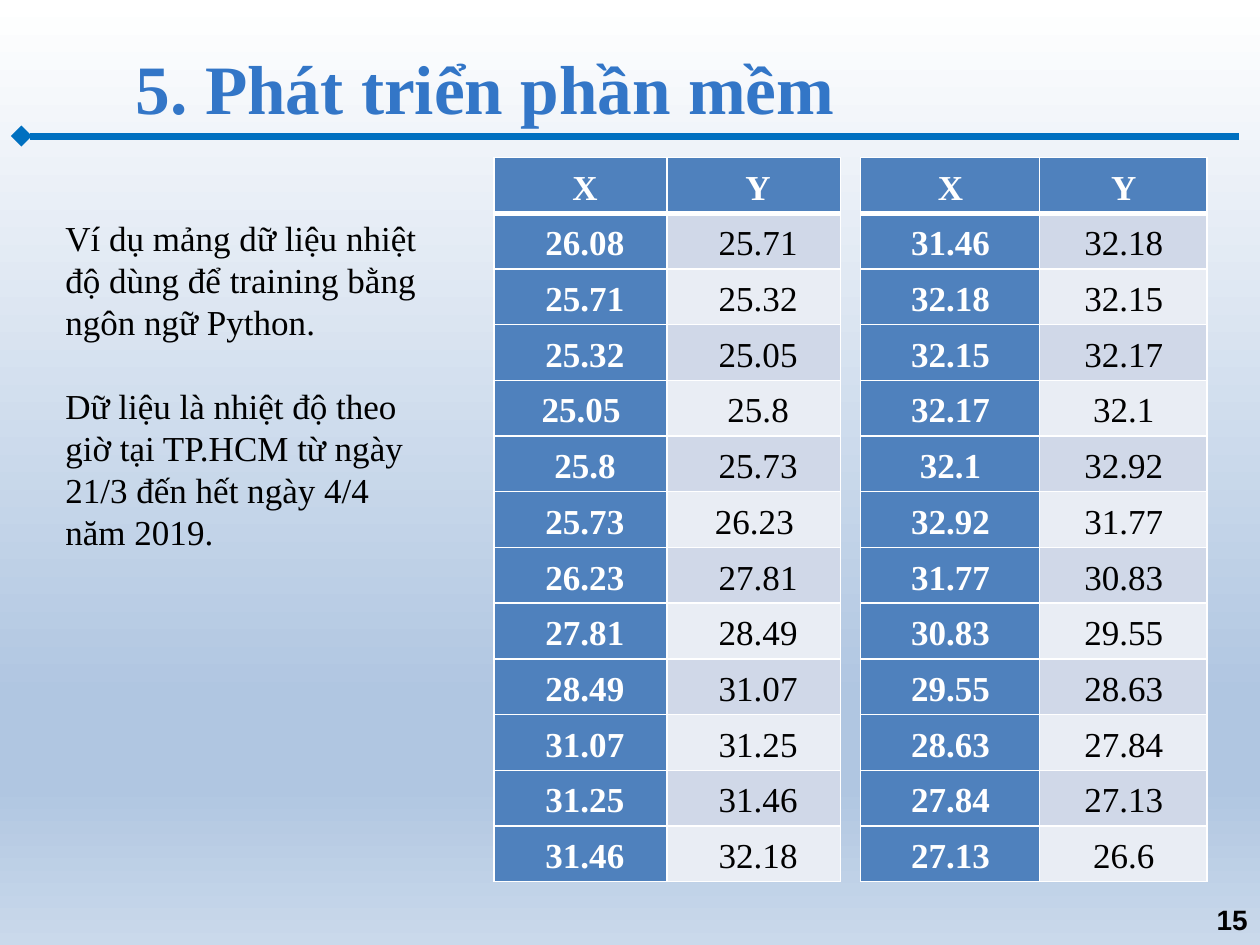
from pptx import Presentation
from pptx.dml.color import RGBColor
from pptx.enum.shapes import MSO_CONNECTOR
from pptx.enum.text import MSO_ANCHOR, PP_ALIGN
from pptx.oxml import parse_xml
from pptx.oxml.ns import nsdecls
from pptx.util import Inches, Pt

STRAIGHT = MSO_CONNECTOR.STRAIGHT
TOP, MIDDLE = MSO_ANCHOR.TOP, MSO_ANCHOR.MIDDLE
LEFT, CENTER, RIGHT = PP_ALIGN.LEFT, PP_ALIGN.CENTER, PP_ALIGN.RIGHT

THEME = {
    "serif": "Times New Roman", "sans": "Arial",
    "title": "3376C7", "rule": "0070C0", "text": "000000", "white": "FFFFFF",
    "key": "4F81BD", "bands": ("D0D8E8", "E9EDF4"),
    "sky": ((0, "FFFFFF"), (74, "B0C6E1"), (83, "B0C6E1"), (100, "CAD9EB")),
    "title_size": 39.6, "body_size": 20, "number_size": 16, "leading": 24,
}

deck = Presentation()
deck.slide_width, deck.slide_height = Inches(10), Inches(7.5)
column, row = deck.slide_width / 100, deck.slide_height / 75
page = deck.slides.add_slide(deck.slide_layouts[6])


def style(para, size, color, bold, align, face="serif"):
    para.alignment = align
    for span in para.runs:
        span.font.name = THEME[face]
        span.font.size = Pt(size)
        span.font.bold = bold
        span.font.color.rgb = RGBColor.from_string(color)


def add_text(left, top, width, height, lines, size, color, bold, align, anchor, face="serif"):
    box = page.shapes.add_textbox(
        int(left * column), int(top * row), int(width * column), int(height * row))
    frame = box.text_frame
    frame.word_wrap = True
    frame.vertical_anchor = anchor
    frame.text = "\n".join(lines)
    for para in frame.paragraphs:
        style(para, size, color, bold, align, face)
    return frame


stops = "".join(
    f'<a:gs pos="{share * 1000}"><a:srgbClr val="{color}"/></a:gs>'
    for share, color in THEME["sky"])
page.element.cSld.insert(0, parse_xml(
    f'<p:bg {nsdecls("p", "a")}><p:bgPr><a:gradFill rotWithShape="1">'
    f'<a:gsLst>{stops}</a:gsLst><a:lin ang="5400000" scaled="0"/></a:gradFill>'
    '<a:effectLst/></p:bgPr></p:bg>'))

rule = page.shapes.add_connector(
    STRAIGHT, int(1.7 * column), int(10.8 * row), int(98.3 * column), int(10.8 * row))
rule.line.color.rgb = RGBColor.from_string(THEME["rule"])
rule.line.width = Pt(4)
rule.line._get_or_add_ln().append(parse_xml(f'<a:headEnd {nsdecls("a")} type="diamond"/>'))
rule.element.spPr.append(parse_xml(f'<a:effectLst {nsdecls("a")}/>'))

add_text(9.8, 3.2, 90.2, 7.4, ["5. Phát triển phần mềm"],
         THEME["title_size"], THEME["title"], True, LEFT, MIDDLE)

temperatures = (
    "26.08 25.71 25.32 25.05 25.8 25.73 26.23 27.81 28.49 31.07 31.25 31.46 "
    "32.18 32.15 32.17 32.1 32.92 31.77 30.83 29.55 28.63 27.84 27.13 26.6").split()
halves = (
    (39.2, (13.75, 13.75), 0.06, {(4, 0), (6, 1)}, temperatures[:13]),
    (68.3, (14.2, 13.3), 0, set(), temperatures[11:]),
)

for left, widths, inset, flush_cells, series in halves:
    pairs = [("X", "Y"), *zip(series, series[1:])]
    table = page.shapes.add_table(
        len(pairs), 2, int(left * column), int(12.5 * row),
        int(sum(widths) * column), int(57.5 * row)).table
    table.first_row = table.horz_banding = False
    for index, width in enumerate(widths):
        table.columns[index].width = int(width * column)
    for r, pair in enumerate(pairs):
        table.rows[r].height = int(57.5 * row / len(pairs))
        for c, value in enumerate(pair):
            cell = table.cell(r, c)
            heading = r == 0 or c == 0
            cell.text_frame.text = value
            cell.vertical_anchor = MIDDLE
            cell.margin_left = Inches(0 if (r, c) in flush_cells else inset)
            cell.margin_right = Inches(0.3)
            cell.margin_top = cell.margin_bottom = 0
            para = cell.text_frame.paragraphs[0]
            style(para, THEME["body_size"], THEME["white" if heading else "text"], heading, CENTER)
            para.line_spacing = 1.15
            properties = para._p.get_or_add_pPr()
            properties.set("marL", "0")
            properties.set("indent", str(Inches(0.31)))
            borders = {"L": 1, "R": 1, "T": 3 if r == 1 else 1, "B": 3 if r == 0 else 1}
            for side, points in borders.items():
                cell._tc.get_or_add_tcPr().append(parse_xml(
                    f'<a:ln{side} {nsdecls("a")} w="{Pt(points)}"><a:solidFill>'
                    f'<a:srgbClr val="{THEME["white"]}"/></a:solidFill></a:ln{side}>'))
            cell.fill.solid()
            color = THEME["key"] if heading else THEME["bands"][(r - 1) % 2]
            cell.fill.fore_color.rgb = RGBColor.from_string(color)

notes = add_text(
    4.2, 16.7, 31.1, 27.9,
    ["Ví dụ mảng dữ liệu nhiệt độ dùng để training bằng ngôn ngữ Python.",
     "Dữ liệu là nhiệt độ theo giờ tại TP.HCM từ ngày 21/3 đến hết ngày 4/4 năm 2019."],
    THEME["body_size"], THEME["text"], False, LEFT, TOP)
for para in notes.paragraphs:
    para.line_spacing = Pt(THEME["leading"])
notes.paragraphs[1].space_before = Pt(THEME["leading"])

add_text(76.7, 71, 23.3, 4, ["15"],
         THEME["number_size"], THEME["text"], True, RIGHT, MIDDLE, "sans")

deck.save("out.pptx")
